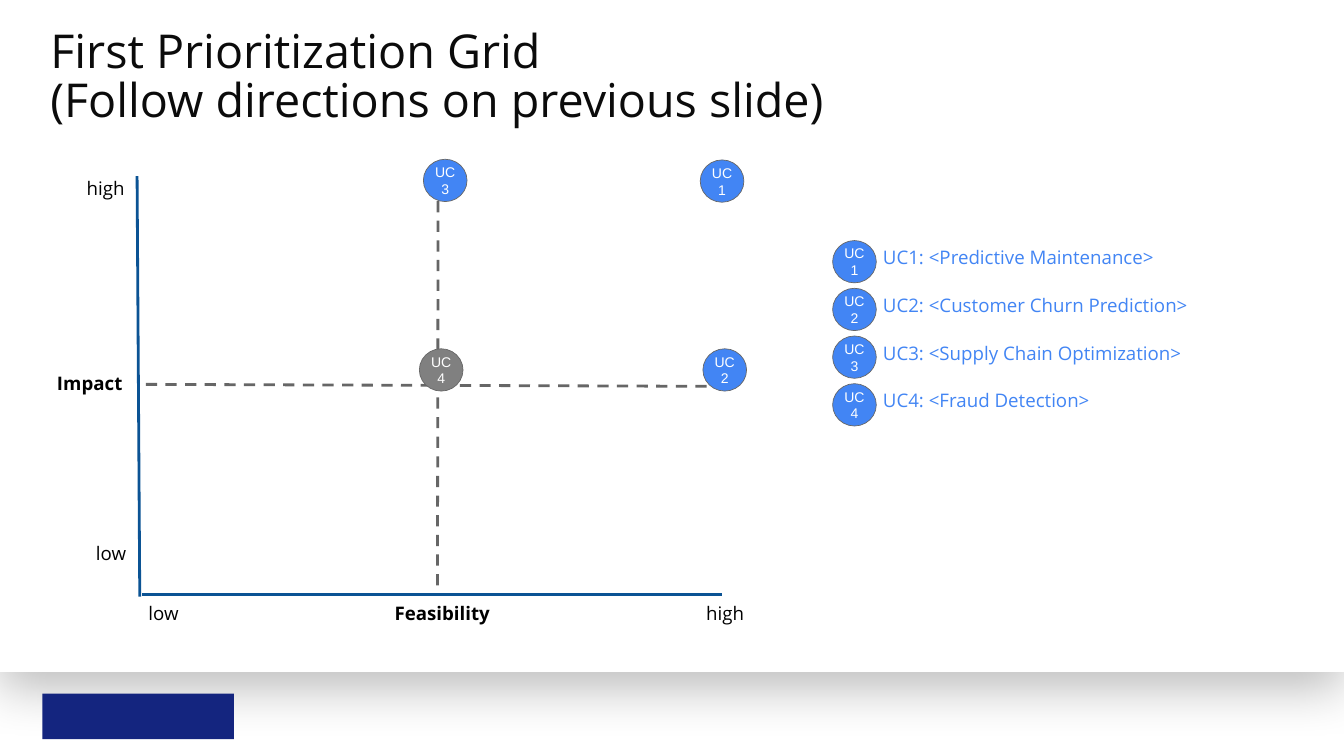
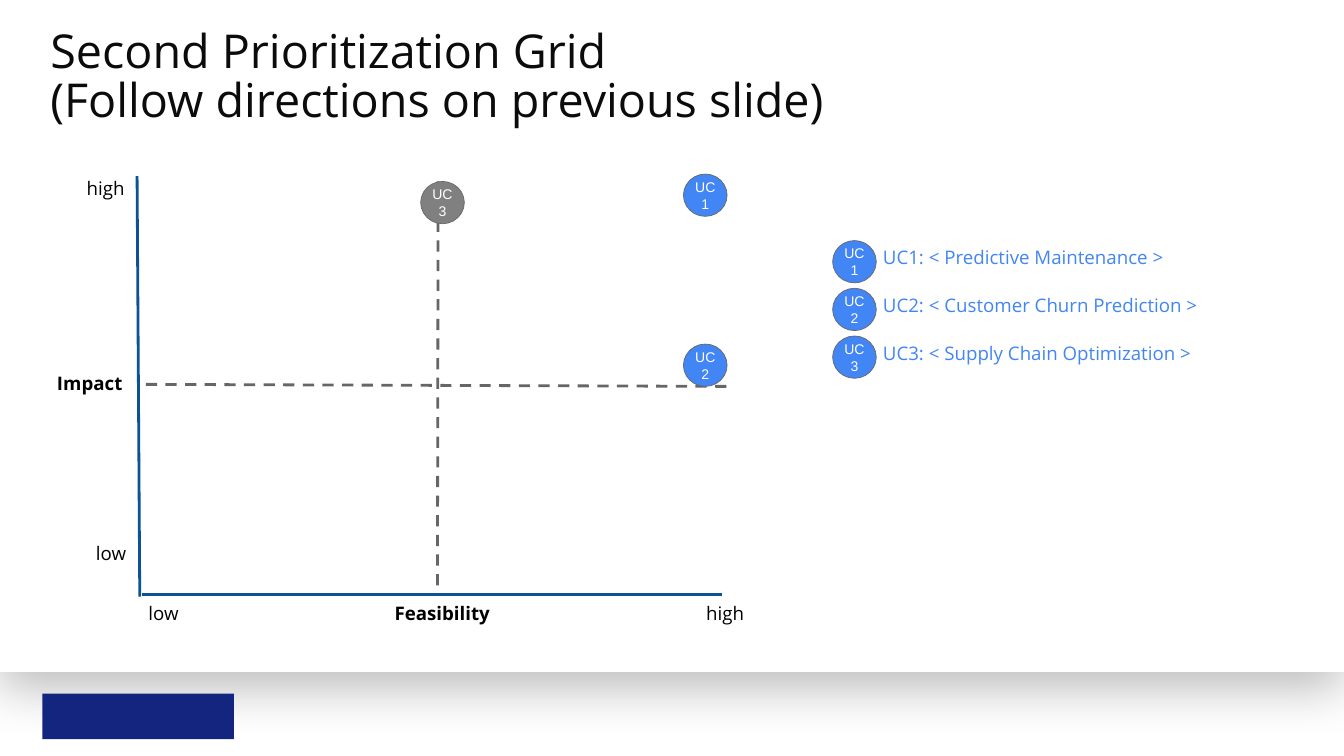
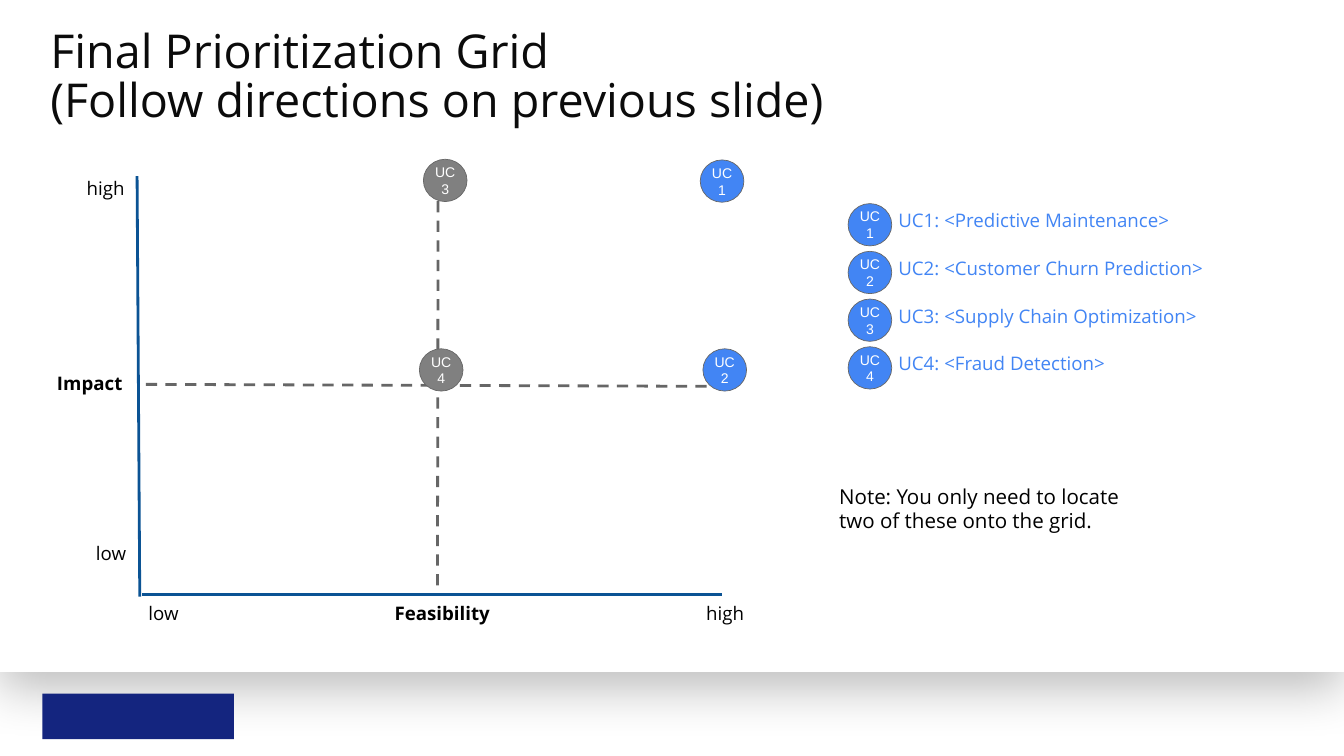
from lxml.etree import SubElement
from pptx import Presentation
from pptx.dml.color import RGBColor
from pptx.enum.dml import MSO_LINE
from pptx.enum.shapes import MSO_CONNECTOR, MSO_SHAPE
from pptx.enum.text import MSO_ANCHOR, MSO_AUTO_SIZE, PP_ALIGN
from pptx.oxml import parse_xml
from pptx.oxml.ns import nsdecls, qn
from pptx.util import Inches, Pt

# Shared style
WHITE = RGBColor(0xFF, 0xFF, 0xFF)
BLACK = RGBColor(0, 0, 0)
TITLE_COLOR = RGBColor(0x0B, 0x0B, 0x0B)
NAVY = RGBColor(0x14, 0x25, 0x7F)
BLUE = RGBColor(0x42, 0x85, 0xF4)
GRAY = RGBColor(0x80, 0x80, 0x80)
DARK_GRAY = RGBColor(0x66, 0x66, 0x66)
AXIS_BLUE = RGBColor(0x0B, 0x53, 0x94)
BODY_FONT = "Open Sans"
MARKER_FONT = "Arial"
MARKER_SIZE = (0.65, 0.63)
LEGEND_STEP = 0.71

USE_CASES = ["Predictive Maintenance", "Customer Churn Prediction",
             "Supply Chain Optimization", "Fraud Detection"]

# Each marker: use case number, left, top, fill
SLIDES = [
    dict(title="First Prioritization Grid", legend=(12.39, 3.58),
         label="UC{}: <{}>", count=4,
         markers=[(1, 10.42, 2.38, BLUE), (2, 10.46, 5.19, BLUE),
                  (3, 6.3, 2.37, BLUE), (4, 6.24, 5.19, GRAY)]),
    dict(title="Second Prioritization Grid", legend=(12.39, 3.58),
         label="UC{}: < {} >", count=3,
         markers=[(1, 10.17, 2.59, BLUE), (2, 10.17, 5.12, BLUE),
                  (3, 6.26, 2.7, GRAY)]),
    dict(title="Final Prioritization Grid", legend=(12.62, 3.03),
         label="UC{}: <{}>", count=4,
         markers=[(1, 10.42, 2.38, BLUE), (2, 10.46, 5.19, BLUE),
                  (3, 6.3, 2.37, GRAY), (4, 6.24, 5.19, GRAY)],
         note="Note: You only need to locate two of these onto the grid."),
]


def set_text(tf, *lines, size=20, color=BLACK, font=BODY_FONT, bold=False,
             align=PP_ALIGN.LEFT, anchor=MSO_ANCHOR.TOP, inset=0.1, spacing=None):
    """Write one paragraph per line; a vertical tab breaks within a paragraph."""
    tf.auto_size = MSO_AUTO_SIZE.NONE
    tf.word_wrap = True
    tf.vertical_anchor = anchor
    tf.margin_left = tf.margin_right = Inches(inset)
    tf.margin_top = tf.margin_bottom = Inches(inset)
    tf.text = "\n".join(lines)
    for p in tf.paragraphs:
        p.alignment = align
        p.line_spacing = spacing
        p.space_before = Pt(0)
        for r in p.runs:
            r.font.name, r.font.size, r.font.bold = font, Pt(size), bold
            r.font.color.rgb = color


def add_label(slide, text, left, top, width, height=0.78, **fmt):
    s = slide.shapes.add_textbox(*map(Inches, (left, top, width, height)))
    set_text(s.text_frame, text, **fmt)


def add_filled(slide, kind, left, top, width, height, fill):
    s = slide.shapes.add_shape(kind, *map(Inches, (left, top, width, height)))
    s.shadow.inherit = False
    s.fill.solid()
    s.fill.fore_color.rgb = fill
    s.line.fill.background()
    return s


def add_marker(slide, number, left, top, fill=BLUE):
    s = add_filled(slide, MSO_SHAPE.OVAL, left, top, *MARKER_SIZE, fill)
    s.line.color.rgb = DARK_GRAY
    s.line.width = Pt(0.75)
    set_text(s.text_frame, f"UC\v{number}", size=15, color=WHITE, font=MARKER_FONT,
             align=PP_ALIGN.CENTER, anchor=MSO_ANCHOR.MIDDLE, inset=0)


def add_line(slide, x1, y1, x2, y2, color, dash=None):
    s = slide.shapes.add_connector(MSO_CONNECTOR.STRAIGHT,
                                   *map(Inches, (x1, y1, x2, y2)))
    s.line.color.rgb = color
    s.line.width = Pt(3)
    if dash:
        s.line.dash_style = dash
    SubElement(s.element.spPr, qn("a:effectLst"))


def add_background(slide):
    """Draw the white panel and footer block, then move them to the layout."""
    panel = add_filled(slide, MSO_SHAPE.RECTANGLE, 0, 0, 20, 10, WHITE)
    sp_pr = panel.element.spPr
    sp_pr.remove(sp_pr.find(qn("a:effectLst")))
    sp_pr.append(parse_xml(
        f'<a:effectLst {nsdecls("a")}><a:outerShdw blurRad="{Pt(56.2)}" '
        f'dist="{Pt(18.8)}" dir="5400000" algn="t" rotWithShape="0">'
        '<a:srgbClr val="000000"><a:alpha val="25000"/></a:srgbClr>'
        '</a:outerShdw></a:effectLst>'))
    footer = add_filled(slide, MSO_SHAPE.RECTANGLE, 0.63, 10.32, 2.85, 0.68, NAVY)
    tree = slide.slide_layout.shapes.element
    for i, s in enumerate((panel, footer)):
        s.element.nvSpPr.cNvPr.id = 100 + i
        tree.insert(2 + i, s.element)


def add_title(slide, text):
    s = slide.shapes.title
    s.left, s.top, s.width, s.height = map(Inches, (0.75, 0.34, 18.5, 1.65))
    set_text(s.text_frame, text, "(Follow directions on previous slide)", size=50,
             color=TITLE_COLOR, anchor=MSO_ANCHOR.MIDDLE, inset=0, spacing=0.88)


def add_grid(slide):
    # Dashed middle lines, then axes
    add_line(slide, 6.52, 2.7, 6.51, 8.71, DARK_GRAY, MSO_LINE.DASH)
    add_line(slide, 2.17, 5.72, 10.88, 5.75, DARK_GRAY, MSO_LINE.DASH)
    add_line(slide, 2.04, 2.62, 2.08, 8.88, AXIS_BLUE)
    add_line(slide, 10.74, 8.85, 2.11, 8.85, AXIS_BLUE)
    # Axis names and ends
    add_label(slide, "Impact", 0.75, 5.43, 1.43, bold=True)
    add_label(slide, "Feasibility", 3.62, 8.85, 5.92, bold=True,
              align=PP_ALIGN.CENTER)
    for left, top in ((2.11, 8.85), (1.33, 7.96)):
        add_label(slide, "low", left, top, 1.14, 0.4)
    for left, top in ((10.41, 8.85), (1.19, 2.53)):
        add_label(slide, "high", left, top, 1.39, 0.29)


def add_legend(slide, left, top, label, count):
    for i, name in enumerate(USE_CASES[:count]):
        y = top + i * LEGEND_STEP
        add_marker(slide, i + 1, left, y)
        add_label(slide, label.format(i + 1, name), left + MARKER_SIZE[0], y - 0.02,
                  5.41, color=BLUE)


def main():
    prs = Presentation()
    prs.slide_width, prs.slide_height = Inches(20), Inches(11.25)
    layout = prs.slide_layouts[5]
    for i, content in enumerate(SLIDES):
        slide = prs.slides.add_slide(layout)
        if i == 0:
            add_background(slide)
        add_title(slide, content["title"])
        add_legend(slide, *content["legend"], content["label"], content["count"])
        add_grid(slide)
        if "note" in content:
            add_label(slide, content["note"], 12.39, 7.1, 4.46, 1.27, size=22)
        for marker in content["markers"]:
            add_marker(slide, *marker)
    prs.save("out.pptx")


if __name__ == "__main__":
    main()
